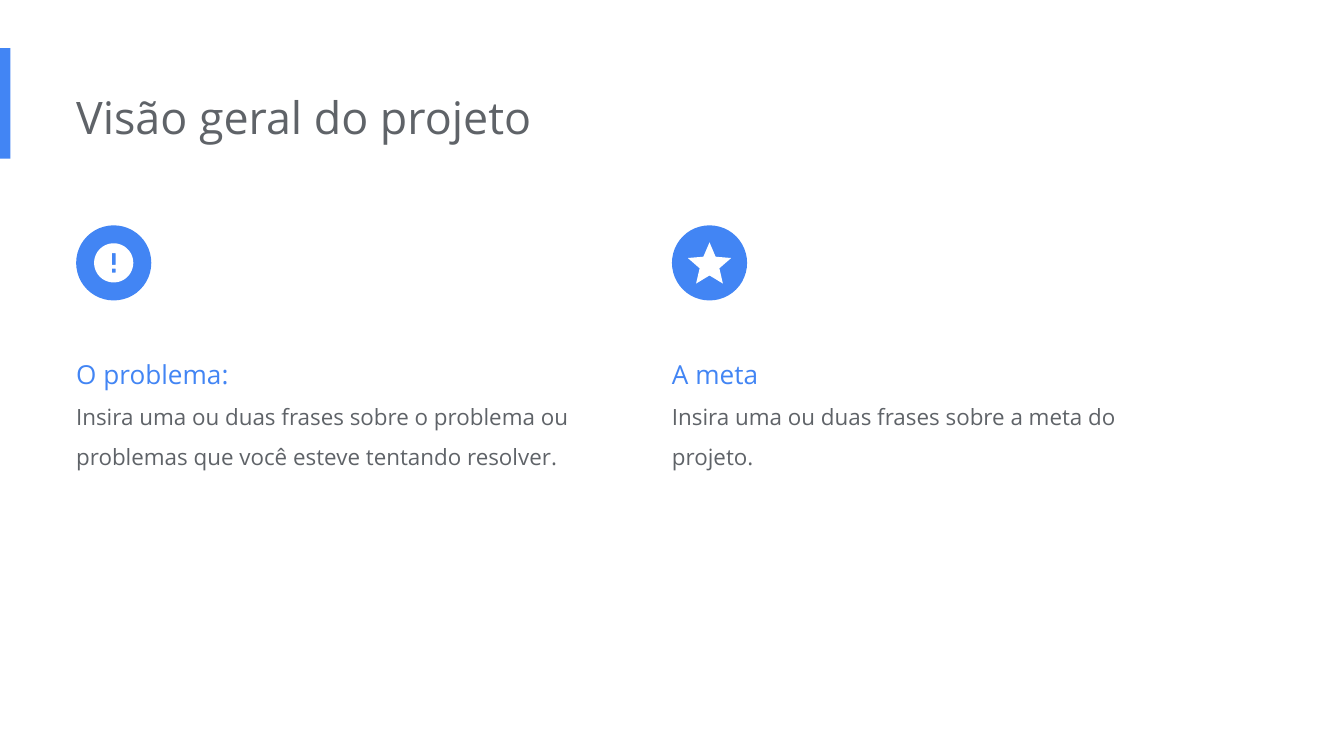
import math

import pptx
import pptx.dml.color
import pptx.enum.shapes
import pptx.enum.text
import pptx.util

Cm = pptx.util.Cm
Pt = pptx.util.Pt
RGBColor = pptx.dml.color.RGBColor
SHAPE = pptx.enum.shapes.MSO_SHAPE

BLUE = RGBColor(0x42, 0x85, 0xF4)
GRAY = RGBColor(0x5F, 0x63, 0x68)
WHITE = RGBColor(0xFF, 0xFF, 0xFF)
FONT = "Open Sans"

STAR = [[(0, 5.77), (6.18, 9.5), (4.54, 2.47), (10, -2.26), (2.81, -2.87),
         (0, -9.5), (-2.81, -2.87), (-10, -2.26), (-4.54, 2.47), (-6.18, 9.5)]]
DISC = [(10 * math.cos(math.radians(a)), 10 * math.sin(math.radians(a)))
        for a in range(0, 360, 5)]
ALERT = [[(1, -5), (1, 1), (-1, 1), (-1, -5)],
         [(1, 3), (1, 5), (-1, 5), (-1, 3)],
         DISC]

COLUMNS = [
    (1.44, ALERT, 0.037, "O problema:",
     "Insira uma ou duas frases sobre o problema ou problemas que você esteve tentando resolver."),
    (12.7, STAR, 0.041, "A meta",
     "Insira uma ou duas frases sobre a meta do projeto."),
]


def paint(shape, color):
    shape.shadow.inherit = False
    shape.fill.solid()
    shape.fill.fore_color.rgb = color
    shape.line.fill.background()


def add_text(s, left, top, width, height, lines, spacing=None):
    tf = s.shapes.add_textbox(Cm(left), Cm(top), Cm(width), Cm(height)).text_frame
    tf.word_wrap = True
    tf.auto_size = pptx.enum.text.MSO_AUTO_SIZE.SHAPE_TO_FIT_TEXT
    tf.margin_left = 0
    tf.margin_right = tf.margin_top = tf.margin_bottom = Cm(0.25)
    for i, (text, size, color) in enumerate(lines):
        p = tf.add_paragraph() if i else tf.paragraphs[0]
        p.text = text
        p.line_spacing = spacing
        p.font.name = FONT
        p.font.size = Pt(size)
        p.font.color.rgb = color


def add_icon(s, left, top, size, outlines, unit):
    badge = s.shapes.add_shape(SHAPE.OVAL, Cm(left), Cm(top), Cm(size), Cm(size))
    paint(badge, BLUE)
    cx, cy = left + size / 2, top + size / 2
    contours = [[(Cm(cx + x * unit), Cm(cy + y * unit)) for x, y in outline]
                for outline in outlines]
    builder = s.shapes.build_freeform(*contours[0][0])
    for i, points in enumerate(contours):
        if i:
            builder.move_to(*points[0])
        builder.add_line_segments(points[1:], close=True)
    paint(builder.convert_to_shape(), WHITE)


def add_header(s, left, top, width, height):
    bar = s.shapes.add_shape(SHAPE.RECTANGLE, 0, Cm(0.91), Cm(0.2), Cm(2.09))
    paint(bar, BLUE)
    add_text(s, left, top, width, height, [("Visão geral do projeto", 24, GRAY)])


def add_column(s, left, top, width, outlines, unit, heading, body):
    add_icon(s, left, top, 1.42, outlines, unit)
    add_text(s, left, top + 1.96, width, 2.69,
             [(heading, 14, BLUE), (body, 12, GRAY)], 1.5)


def main():
    prs = pptx.Presentation()
    prs.slide_width, prs.slide_height = Cm(25.4), Cm(14.29)
    s = prs.slides.add_slide(prs.slide_layouts[6])
    add_header(s, 1.44, 1.45, 17.1, 1.55)
    for left, outlines, unit, heading, body in COLUMNS:
        add_column(s, left, 4.26, 9.58, outlines, unit, heading, body)
    prs.save("out.pptx")


if __name__ == "__main__":
    main()
